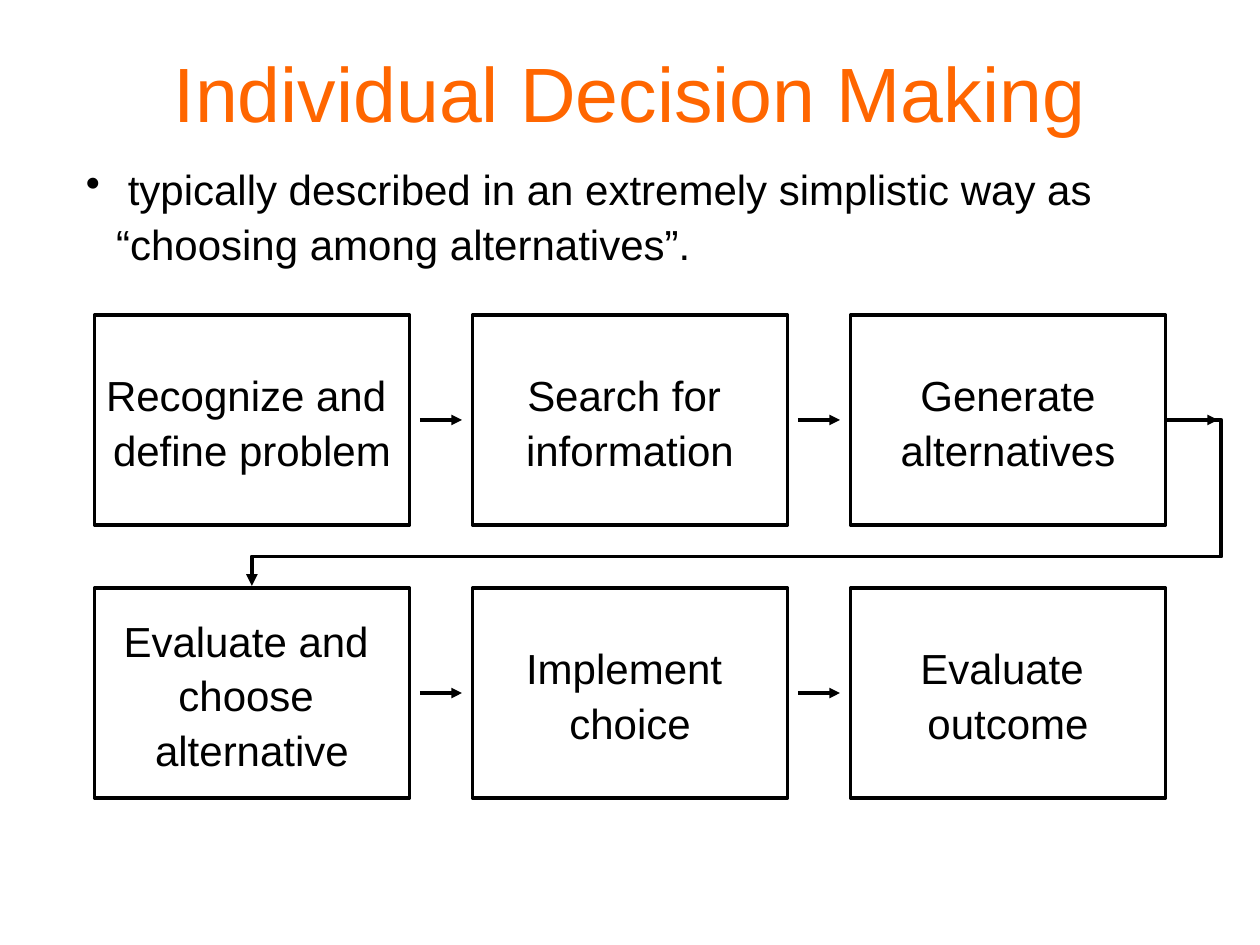
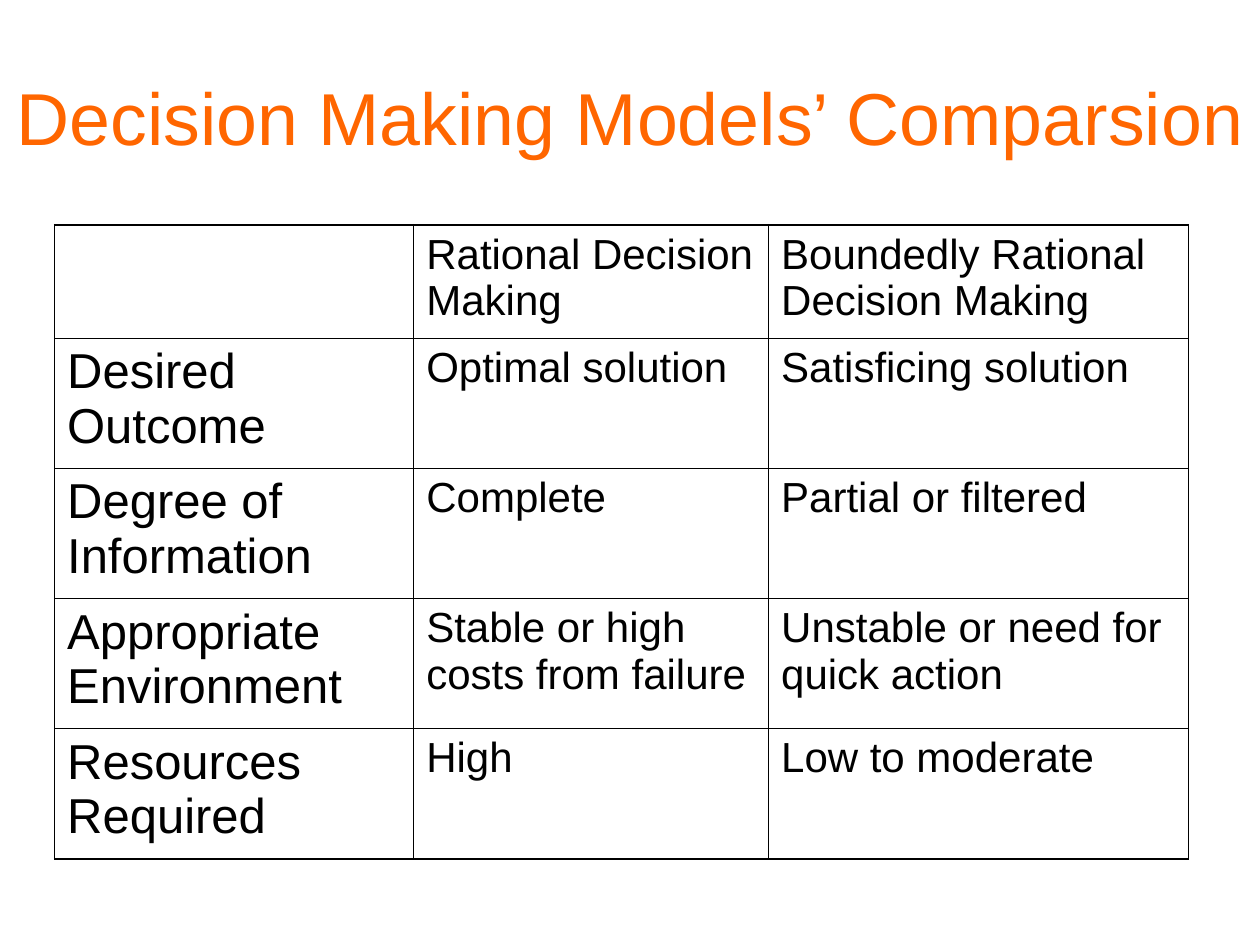
from dataclasses import dataclass

from lxml.etree import SubElement
from pptx import Presentation
from pptx.dml.color import RGBColor
from pptx.enum.shapes import MSO_CONNECTOR, MSO_SHAPE
from pptx.enum.text import MSO_ANCHOR, MSO_AUTO_SIZE, PP_ALIGN
from pptx.oxml.ns import qn
from pptx.util import Inches, Pt


@dataclass(frozen=True)
class Theme:
    font: str = "Arial"
    accent: RGBColor = RGBColor(0xFF, 0x66, 0x00)
    ink: RGBColor = RGBColor(0, 0, 0)
    title: float = 44
    wide_title: float = 42
    row_label: float = 28
    body: float = 24
    flow_spacing: float = 1.08
    flow_line: float = 2
    return_line: float = 2.25
    outer_border: float = 1.08
    inner_border: float = 0.45


THEME = Theme()

# The slide is a grid of 120 columns by 90 rows, 12 to the inch.
COLUMNS, ROWS = 120, 90
STEP_WIDTH, STEP_HEIGHT = 30, 20
STEP_LEFT, STEP_TOP = 9, 30
STEP_COLUMN_PITCH, STEP_ROW_PITCH = 36, 26
ARROW_GAP, ARROW_LENGTH = 1, 4

STEPS = [
    [["Recognize and ", "define problem"],
     ["Search for ", "information"],
     ["Generate", "alternatives"]],
    [["Evaluate and ", "choose ", "alternative"],
     ["Implement ", "choice"],
     ["Evaluate ", "outcome"]],
]

COMPARISON = [
    ["", "Rational Decision Making", "Boundedly Rational Decision Making"],
    ["Desired Outcome", "Optimal solution", "Satisficing solution"],
    ["Degree of Information", "Complete", "Partial or filtered"],
    ["Appropriate Environment", "Stable or high costs from failure",
     "Unstable or need for quick action"],
    ["Resources Required", "High", "Low to moderate"],
]


def grid(*cells):
    """Turn counts of grid cells into lengths."""
    return [Inches(count / 12) for count in cells]


def write(frame, lines, size=THEME.body, color=THEME.ink, align=PP_ALIGN.LEFT,
          anchor=MSO_ANCHOR.MIDDLE, wrap=True, spacing=None, before=0):
    frame.word_wrap = wrap
    frame.auto_size = MSO_AUTO_SIZE.NONE
    frame.vertical_anchor = anchor
    for index, line in enumerate(lines):
        para = frame.paragraphs[0] if index == 0 else frame.add_paragraph()
        para.alignment = align
        para.space_before = Pt(before)
        if spacing:
            para.line_spacing = spacing
        span = para.add_run()
        span.text = line
        span.font.name = THEME.font
        span.font.size = Pt(size)
        span.font.color.rgb = color


def add_page(deck, title, area, size):
    page = deck.slides.add_slide(deck.slide_layouts[5])
    box = page.shapes.title
    box.left, box.top, box.width, box.height = grid(*area)
    write(box.text_frame, [title], size=size, color=THEME.accent,
          align=PP_ALIGN.CENTER)
    return page


def add_bullet(page, text, area):
    box = page.shapes.add_textbox(*grid(*area))
    write(box.text_frame, [text], spacing=THEME.flow_spacing)
    properties = box.text_frame.paragraphs[0]._p.get_or_add_pPr()
    hang = Inches(0.24)
    properties.set("marL", str(hang))
    properties.set("indent", str(-hang))
    SubElement(properties, qn("a:buChar")).set("char", "•")


def add_step(page, lines, column, row):
    left = STEP_LEFT + column * STEP_COLUMN_PITCH
    top = STEP_TOP + row * STEP_ROW_PITCH
    box = page.shapes.add_shape(
        MSO_SHAPE.RECTANGLE, *grid(left, top, STEP_WIDTH, STEP_HEIGHT))
    box.shadow.inherit = False
    box.fill.background()
    box.line.color.rgb = THEME.ink
    box.line.width = Pt(THEME.flow_line)
    write(box.text_frame, lines, align=PP_ALIGN.CENTER, wrap=False,
          spacing=THEME.flow_spacing)


def add_arrow(page, start, end, kind=MSO_CONNECTOR.STRAIGHT,
              width=THEME.flow_line):
    arrow = page.shapes.add_connector(kind, *grid(*start, *end))
    arrow.line.color.rgb = THEME.ink
    arrow.line.width = Pt(width)
    SubElement(arrow.line._get_or_add_ln(), qn("a:tailEnd")).set(
        "type", "triangle")
    SubElement(arrow._element.spPr, qn("a:effectLst"))
    return arrow


def add_return_arrow(page, start, end, turn_column, turn_row):
    """Lead from the end of one row of steps out, back and down to the next."""
    arrow = add_arrow(page, start, end, MSO_CONNECTOR.ELBOW, THEME.return_line)
    geometry = arrow._element.spPr.find(qn("a:prstGeom"))
    geometry.set("prst", "bentConnector4")
    guides = geometry.find(qn("a:avLst"))
    if guides is None:
        guides = SubElement(geometry, qn("a:avLst"))
    shares = [(turn_column - start[0]) / (end[0] - start[0]),
              (turn_row - start[1]) / (end[1] - start[1])]
    for number, share in enumerate(shares, 1):
        guide = SubElement(guides, qn("a:gd"))
        guide.set("name", f"adj{number}")
        guide.set("fmla", f"val {round(share * 100000)}")


def set_borders(cell, outer_sides):
    properties = cell._tc.get_or_add_tcPr()
    for index, side in enumerate("LRTB"):
        width = THEME.outer_border if side in outer_sides else THEME.inner_border
        line = SubElement(properties, qn(f"a:ln{side}"))
        line.set("w", str(Pt(width)))
        fill = SubElement(line, qn("a:solidFill"))
        SubElement(fill, qn("a:srgbClr")).set("val", str(THEME.ink))
        properties.remove(line)
        properties.insert(index, line)


def add_comparison(page, rows, left, top, widths, heights):
    area = grid(left, top, sum(widths), sum(heights))
    table = page.shapes.add_table(len(rows), len(widths), *area).table
    table.first_row = table.horz_banding = False
    for column, width in zip(table.columns, grid(*widths)):
        column.width = width
    for row, height in zip(table.rows, grid(*heights)):
        row.height = height
    last_row, last_column = len(rows) - 1, len(widths) - 1
    for row, texts in enumerate(rows):
        for column, text in enumerate(texts):
            cell = table.cell(row, column)
            cell.fill.background()
            edges = {"L": column == 0, "R": column == last_column,
                     "T": row == 0, "B": row == last_row}
            set_borders(cell, [side for side, outer in edges.items() if outer])
            if text:
                is_label = column == 0
                write(cell.text_frame, [text],
                      size=THEME.row_label if is_label else THEME.body,
                      anchor=MSO_ANCHOR.TOP, before=7 if is_label else 6)


def add_process_page(deck):
    page = add_page(deck, "Individual Decision Making",
                    (6, 3.6, 108, 10.2), THEME.title)
    for row, steps in enumerate(STEPS):
        middle = STEP_TOP + row * STEP_ROW_PITCH + STEP_HEIGHT / 2
        for column, lines in enumerate(steps):
            add_step(page, lines, column, row)
            if (row, column) != (1, 2):
                start = (STEP_LEFT + column * STEP_COLUMN_PITCH
                         + STEP_WIDTH + ARROW_GAP)
                add_arrow(page, (start, middle),
                          (start + ARROW_LENGTH, middle))
    add_return_arrow(page, (111.1, 40), (24, 55.8),
                     turn_column=116.3, turn_row=53)
    add_bullet(page, " typically described in an extremely simplistic way as "
               "“choosing among alternatives”.", (7, 15, 101, 10.8))


def add_models_page(deck):
    page = add_page(deck, "Decision Making Models’ Comparsion",
                    (0, 3.6, COLUMNS, 15), THEME.wide_title)
    add_comparison(page, COMPARISON, 5.2, 21.4,
                   widths=[34.2, 33.8, 40], heights=[10.8] + [12.4] * 4)


def main():
    deck = Presentation()
    deck.slide_width, deck.slide_height = grid(COLUMNS, ROWS)
    add_process_page(deck)
    add_models_page(deck)
    deck.save("out.pptx")


if __name__ == "__main__":
    main()
